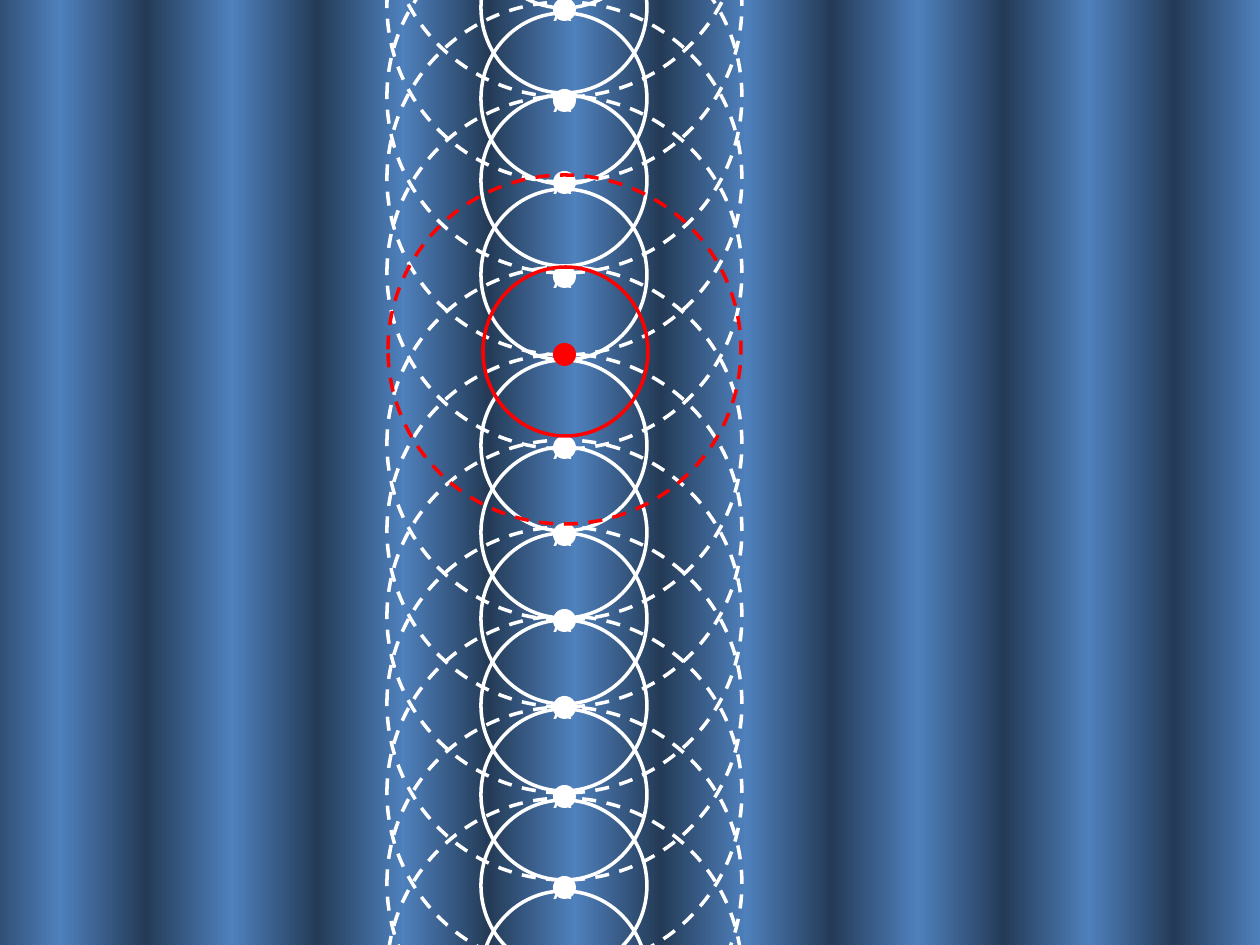
from pptx import Presentation
from pptx.dml.color import RGBColor
from pptx.enum.dml import MSO_LINE
from pptx.enum.shapes import MSO_SHAPE
from pptx.enum.text import MSO_AUTO_SIZE
from pptx.oxml import parse_xml
from pptx.oxml.ns import nsdecls
from pptx.util import Pt

RECT, OVAL = MSO_SHAPE.RECTANGLE, MSO_SHAPE.OVAL
DASH = MSO_LINE.DASH
GROW = MSO_AUTO_SIZE.SHAPE_TO_FIT_TEXT

SCALE = 914400 / 126  # EMU per px
WHITE, RED, BLUE = "FFFFFF", "FF0000", "4F81BD"


def px(n):
    return round(n * SCALE)


def rgb(value):
    return RGBColor.from_string(value)


class Canvas:
    font = "Calibri"
    size = Pt(18)
    line_width = Pt(2)

    def __init__(self, slide):
        self.slide = slide
        self.grp = None

    def group(self):
        self.grp = self.slide.shapes.add_group_shape()

    def shape(self, kind, x, y, w, h):
        sp = self.grp.shapes.add_shape(kind, px(x), px(y), px(w), px(h))
        sp.shadow.inherit = False
        return sp

    def stripe(self, x, y, w, h):
        """Rectangle that runs from light to dark to light, left to right."""
        sp = self.shape(RECT, x, y, w, h)
        sp.line.fill.background()
        light = f'<a:srgbClr val="{BLUE}"/>'
        dark = (f'<a:srgbClr val="{BLUE}"><a:gamma/><a:shade val="46275"/>'
                '<a:invGamma/></a:srgbClr>')
        stops = "".join(f'<a:gs pos="{pos}">{color}</a:gs>' for pos, color in
                        ((0, light), (50000, dark), (100000, light)))
        grad = parse_xml(f'<a:gradFill {nsdecls("a")} rotWithShape="1">'
                         f'<a:gsLst>{stops}</a:gsLst>'
                         '<a:lin ang="0" scaled="1"/></a:gradFill>')
        sp._element.spPr.find(".//{*}prstGeom").addnext(grad)

    def dot(self, x, y, d, color):
        sp = self.shape(OVAL, x, y, d, d)
        sp.fill.solid()
        sp.fill.fore_color.rgb = rgb(color)
        sp.line.fill.background()

    def ring(self, x, y, w, h, color, dash=None):
        sp = self.shape(OVAL, x, y, w, h)
        sp.fill.background()
        sp.line.color.rgb = rgb(color)
        sp.line.width = self.line_width
        if dash:
            sp.line.dash_style = dash

    def label(self, x, y, w, h, text, color):
        tf = self.grp.shapes.add_textbox(px(x), px(y), px(w), px(h)).text_frame
        tf.word_wrap = True
        tf.auto_size = GROW
        r = tf.paragraphs[0].add_run()
        r.text = text
        r.font.name = self.font
        r.font.size = self.size
        r.font.color.rgb = rgb(color)


def main():
    prs = Presentation()
    prs.slide_width, prs.slide_height = px(1260), px(945)
    s = prs.slides.add_slide(prs.slide_layouts[6])
    c = Canvas(s)

    # Background waves: four pairs of stripes
    c.group()
    for pair in range(4):
        x = -112 + 343 * pair
        c.stripe(x + 171, -4, 173, 951)
        c.stripe(x, -4, 173, 951)

    # White sources, by the top of the inner ring; the end ones have rings only
    ring_only = (891, -163)
    for top in (189, 360, 447, 533, 620, 709, 800, 891, 95, 13, -78, -163):
        c.group()
        if top not in ring_only:
            c.dot(553, top + 76, 23, WHITE)
            c.label(541, top + 62, 47, 50, "A", WHITE)
        c.ring(481, top, 166, 171, WHITE)
        c.ring(387, top - 93, 355, 353, WHITE, DASH)

    # Red source
    c.group()
    c.dot(553, 343, 23, RED)
    c.ring(483, 267, 165, 169, RED)
    c.ring(388, 175, 353, 349, RED, DASH)

    prs.save("out.pptx")


if __name__ == "__main__":
    main()
